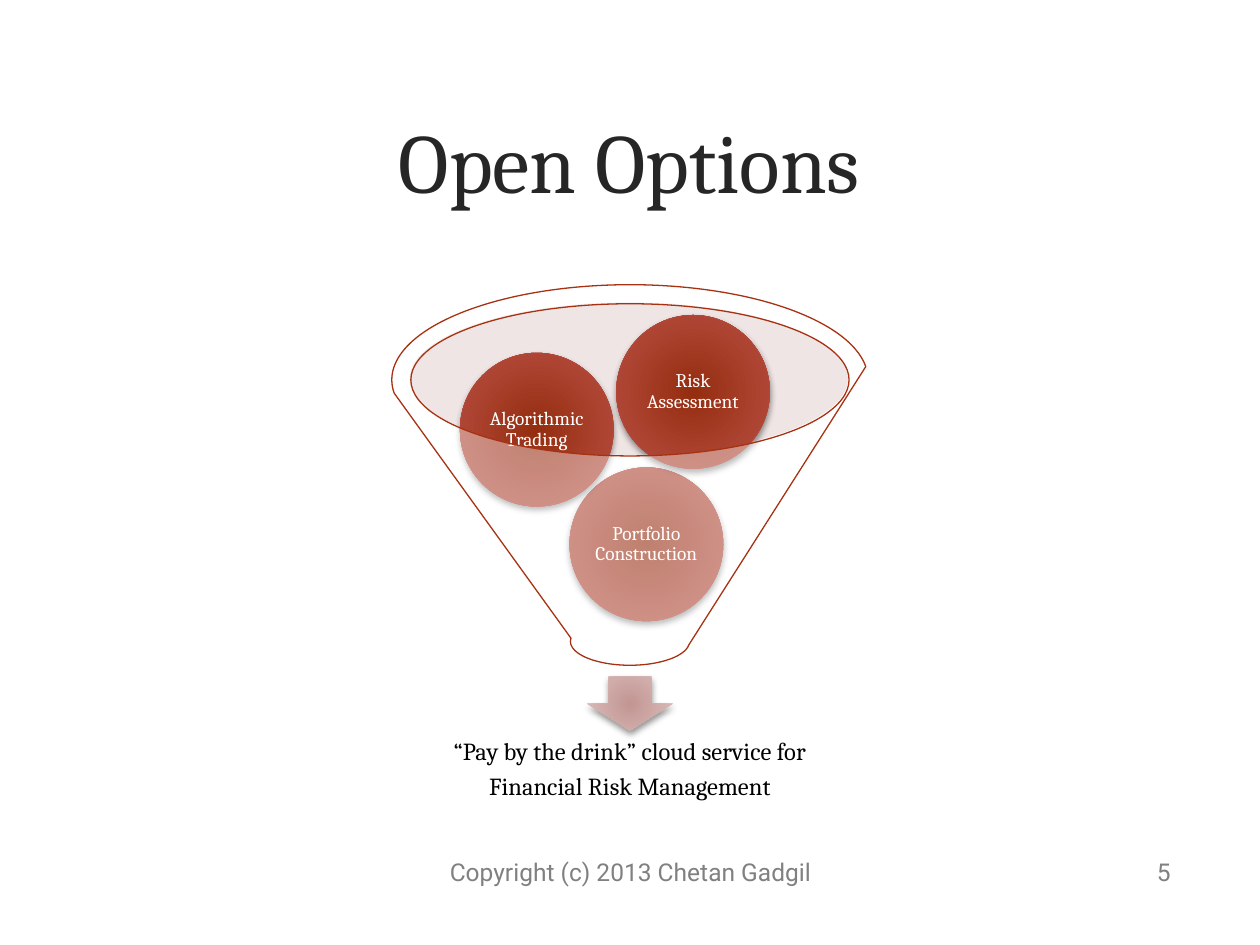
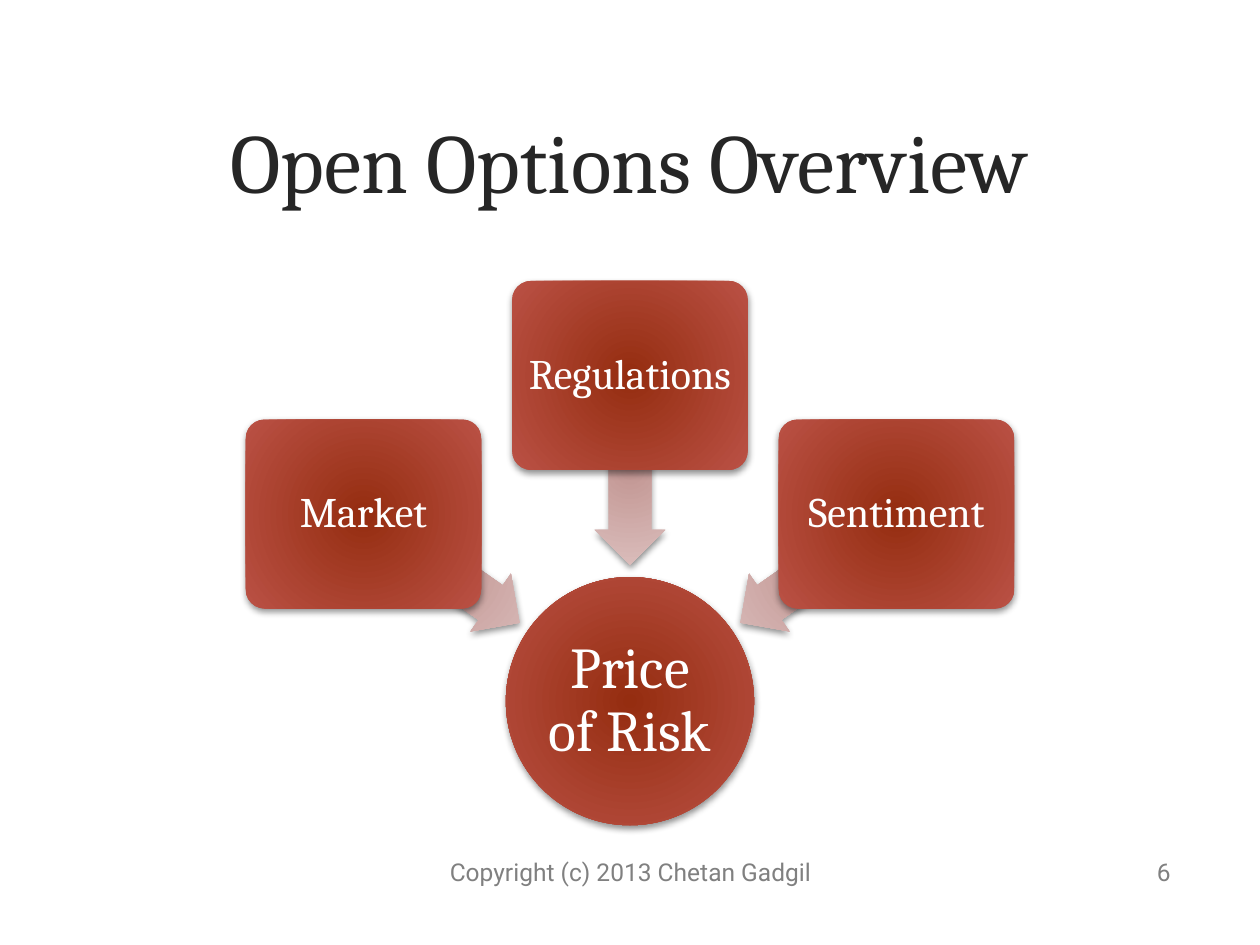
import lxml.etree
import pptx
import pptx.dml.color
import pptx.enum.shapes
import pptx.enum.text
import pptx.oxml.ns
import pptx.util

PRESET = pptx.enum.shapes.MSO_SHAPE
ALIGN = pptx.enum.text.PP_ALIGN

# Grid of 100 columns by 75 rows, with square cells
COLUMNS, ROWS = 100, 75
CELL = pptx.util.Inches(0.1)
MIDDLE = COLUMNS / 2

# Shared style
SERIF, SANS = "Cambria", "Roboto"
WHITE, BLACK, TITLE_COLOR, FOOTER_COLOR = "FFFFFF", "000000", "262626", "808080"
RUST, RUST_GRADIENT, ARROW_GRADIENT = "A63212", ("952D10", "BA5145"), ("C29693", "DBBEBC")
FOOTER = "Copyright (c) 2013 Chetan Gadgil"


def rgb(color):
    return pptx.dml.color.RGBColor.from_string(color)


def cells(*counts):
    return [round(count * CELL) for count in counts]


def add_child(parent, tag, **attributes):
    child = lxml.etree.SubElement(parent, pptx.oxml.ns.qn(tag))
    for name, value in attributes.items():
        child.set(name, str(value))
    return child


def write_text(shape, text, size=14, font=SERIF, color=WHITE, align=ALIGN.CENTER,
               inset=(1, 0.5), spacing=None, gap=0):
    """Write one paragraph per line; gap is a share of the text size."""
    frame = shape.text_frame
    frame.word_wrap = True
    frame.auto_size = pptx.enum.text.MSO_AUTO_SIZE.NONE
    frame.vertical_anchor = pptx.enum.text.MSO_ANCHOR.MIDDLE
    frame.margin_left, frame.margin_top = cells(*inset)
    frame.margin_right, frame.margin_bottom = cells(*inset)
    frame.text = text
    for paragraph in frame.paragraphs:
        paragraph.alignment = align
        paragraph.line_spacing = spacing
        paragraph.space_after = pptx.util.Pt(size * gap)
        paragraph.font.size = pptx.util.Pt(size)
        paragraph.font.name = font
        paragraph.font.color.rgb = rgb(color)


def add_text(slide, box, text, **style):
    write_text(slide.shapes.add_textbox(*cells(*box)), text, **style)


def add_diagram_text(shape, text, size, inset, color=WHITE):
    write_text(shape, text, size=size, color=color, inset=(inset, inset), spacing=0.9, gap=0.35)


def add_plain_shape(slide, preset, box):
    shape = slide.shapes.add_shape(preset, *cells(*box))
    shape.shadow.inherit = False
    shape.line.fill.background()
    return shape


def add_tinted_shape(slide, preset, box, color, opacity):
    shape = add_plain_shape(slide, preset, box)
    shape.fill.solid()
    shape.fill.fore_color.rgb = rgb(color)
    color_element = shape.fill._xPr.find(".//" + pptx.oxml.ns.qn("a:srgbClr"))
    add_child(color_element, "a:alpha", val=opacity * 1000)
    return shape


def add_glossy_shape(slide, preset, box, gradient):
    """Add a shape with a radial gradient and a soft shadow below."""
    shape = add_plain_shape(slide, preset, box)
    shape.fill.gradient()
    for stop, color in zip(shape.fill.gradient_stops, gradient):
        stop.color.rgb = rgb(color)
    properties = shape._element.spPr
    gradient_fill = properties.find(pptx.oxml.ns.qn("a:gradFill"))
    gradient_fill.remove(gradient_fill.find(pptx.oxml.ns.qn("a:lin")))
    radial = add_child(gradient_fill, "a:path", path="circle")
    add_child(radial, "a:fillToRect", l=40000, t=100000, r=40000, b=100000)

    effects = properties.find(pptx.oxml.ns.qn("a:effectLst"))
    shadow = add_child(effects, "a:outerShdw", blurRad=pptx.util.Pt(4), dist=pptx.util.Pt(2),
                       dir=84 * 60000, rotWithShape=0)
    add_child(add_child(shadow, "a:srgbClr", val=BLACK), "a:alpha", val=44000)
    return shape


def add_ball(slide, left, top, diameter, text, size, inset=0):
    ball = add_glossy_shape(slide, PRESET.OVAL, (left, top, diameter, diameter), RUST_GRADIENT)
    add_diagram_text(ball, text, size, inset)


def add_slide(presentation, title, number):
    slide = presentation.slides.add_slide(presentation.slide_layouts[5])
    heading = slide.shapes.title
    heading.left, heading.top, heading.width, heading.height = cells(6, 4.8, 87.9, 15.8)
    write_text(heading, title, size=48, color=TITLE_COLOR)
    add_text(slide, (34.2, 67.2, 31.7, 4), FOOTER, font=SANS, color=FOOTER_COLOR)
    add_text(slide, (70.6, 67.2, 23.3, 4), str(number), font=SANS, color=FOOTER_COLOR,
             align=ALIGN.RIGHT)
    return slide


def add_funnel_diagram(slide):
    # Mouth of the funnel and its outcome
    add_tinted_shape(slide, PRESET.OVAL, (32.5, 24, 34.8, 12.1), "D8BFBD", 40)
    add_glossy_shape(slide, PRESET.DOWN_ARROW, (MIDDLE - 3.4, 53.7, 6.8, 4.3), ARROW_GRADIENT)
    outcome = slide.shapes.add_textbox(*cells(MIDDLE - 16.2, 57.1, 32.4, 8.1))
    add_diagram_text(outcome, "“Pay by the drink” cloud service for\nFinancial Risk Management",
                     14, 1.1, color=BLACK)

    # Ingredients
    for text, left, top in (("Portfolio Construction", 45.2, 37.1),
                            ("Algorithmic Trading", 36.5, 28),
                            ("Risk Assessment", 48.9, 25)):
        add_ball(slide, left, top, 12.2, text, 11)

    # Translucent funnel in front
    funnel = add_tinted_shape(slide, PRESET.FUNNEL, (MIDDLE - 18.9, 22.6, 37.8, 30.2), WHITE, 40)
    funnel.line.color.rgb = rgb(RUST)
    funnel.line.width = pptx.util.Pt(0.75)


def add_converging_diagram(slide):
    add_ball(slide, MIDDLE - 9.85, 45.8, 19.7, "Price of Risk", 33, inset=0.2)

    # Each factor: side of the middle, top of its box, top and turn of its arrow
    box_width, box_height, box_step = 18.7, 15, 21.15
    arrow_width, arrow_height, arrow_step = 15.1, 5.6, 14.95
    for text, side, box_top, arrow_top, turn in (("Market", -1, 33.3, 42.3, 215),
                                                 ("Regulations", 0, 22.3, 34.5, 270),
                                                 ("Sentiment", 1, 33.3, 42.3, 325)):
        arrow_left = MIDDLE + side * arrow_step - arrow_width / 2
        arrow = add_glossy_shape(slide, PRESET.LEFT_ARROW,
                                 (arrow_left, arrow_top, arrow_width, arrow_height),
                                 ARROW_GRADIENT)
        arrow.adjustments[0] = 0.6
        arrow.rotation = turn
        box_left = MIDDLE + side * box_step - box_width / 2
        box = add_glossy_shape(slide, PRESET.ROUNDED_RECTANGLE,
                               (box_left, box_top, box_width, box_height), RUST_GRADIENT)
        box.adjustments[0] = 0.1
        add_diagram_text(box, text, 24, 0.5)


def main():
    presentation = pptx.Presentation()
    presentation.slide_width, presentation.slide_height = cells(COLUMNS, ROWS)
    add_funnel_diagram(add_slide(presentation, "Open Options", 5))
    add_converging_diagram(add_slide(presentation, "Open Options Overview", 6))
    presentation.save("out.pptx")


if __name__ == "__main__":
    main()
